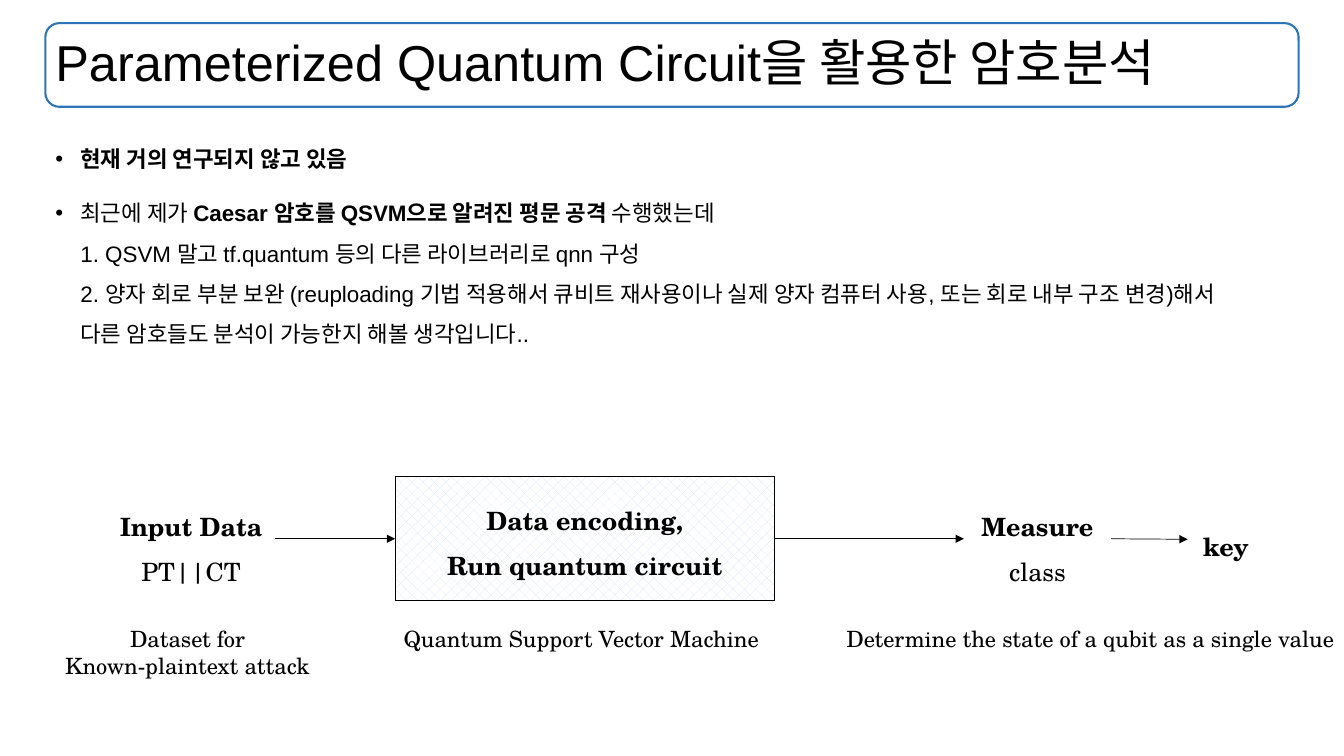
"""Build the slide on cryptanalysis with parameterized quantum circuits."""
from lxml import etree
from pptx import Presentation
from pptx.dml.color import RGBColor
from pptx.enum.dml import MSO_PATTERN
from pptx.enum.shapes import MSO_CONNECTOR, MSO_SHAPE
from pptx.enum.text import MSO_ANCHOR, PP_ALIGN
from pptx.oxml.ns import qn
from pptx.util import Inches, Pt

ROUNDED, RECTANGLE = MSO_SHAPE.ROUNDED_RECTANGLE, MSO_SHAPE.RECTANGLE
STRAIGHT = MSO_CONNECTOR.STRAIGHT
LEFT, CENTER = PP_ALIGN.LEFT, PP_ALIGN.CENTER
TOP, MIDDLE = MSO_ANCHOR.TOP, MSO_ANCHOR.MIDDLE
DOTS = MSO_PATTERN.PERCENT_25
SANS, SERIF = "Arial", "TeX Gyre Schola"
RIGHT_SIDE, LEFT_SIDE = 3, 1


def color(value):
    """Turn a hex string into a colour."""
    return RGBColor.from_string(value)


def write(para, pieces, font, size, align=LEFT, spacing=1.0):
    """Fill a paragraph with (text, bold) pieces, breaking lines at newlines."""
    para.alignment = align
    para.line_spacing = spacing
    para.font.name = font
    para.font.size = Pt(size)
    para.font.color.rgb = color("000000")
    same_weight = len({bold for _, bold in pieces}) == 1
    if same_weight:
        para.font.bold = pieces[0][1]
    for text, bold in pieces:
        for index, line in enumerate(text.split("\n")):
            if index:
                para.add_line_break()
            if line:
                span = para.add_run()
                span.text = line
                if not same_weight:
                    span.font.bold = bold


deck = Presentation()
deck.slide_width, deck.slide_height = Inches(13.33), Inches(7.5)
page = deck.slides.add_slide(deck.slide_layouts[6])

title = page.shapes.add_shape(ROUNDED, Inches(0.45), Inches(0.23), Inches(12.43), Inches(0.83))
title.shadow.inherit = False
title.fill.background()
title.line.color.rgb = color("2E75B6")
title.line.width = Pt(1.5)
title.text_frame.margin_left = Inches(0.06)
title.text_frame.vertical_anchor = MIDDLE
write(title.text_frame.paragraphs[0],
      [("Parameterized Quantum Circuit을 활용한 암호분석", False)], SANS, 36, spacing=0.9)

bullets = [
    [("현재 거의 연구되지 않고 있음", True)],
    [("최근에 제가 ", False),
     ("Caesar 암호를 QSVM으로 알려진 평문 공격", True),
     (" 수행했는데\n"
      "1. QSVM 말고 tf.quantum 등의 다른 라이브러리로 qnn 구성\n"
      "2. 양자 회로 부분 보완 (reuploading 기법 적용해서 큐비트 재사용이나 실제 양자 컴퓨터 사용, "
      "또는 회로 내부 구조 변경)해서\n"
      "다른 암호들도 분석이 가능한지 해볼 생각입니다..", False)],
]
body = page.shapes.add_textbox(Inches(0.45), Inches(1.26), Inches(12.43), Inches(5.53))
body.text_frame.word_wrap = True
for index, pieces in enumerate(bullets):
    para = body.text_frame.add_paragraph() if index else body.text_frame.paragraphs[0]
    if index:
        para.space_before = Pt(10)
    properties = para._p.get_or_add_pPr()
    properties.set("marL", str(Inches(0.25)))
    properties.set("indent", str(-Inches(0.25)))
    etree.SubElement(properties, qn("a:buFont")).set("typeface", SANS)
    etree.SubElement(properties, qn("a:buChar")).set("char", "•")
    write(para, pieces, SANS, 16, spacing=1.5)

circuit = page.shapes.add_shape(RECTANGLE, Inches(3.92), Inches(4.73), Inches(3.76), Inches(1.23))
circuit.shadow.inherit = False
circuit.fill.patterned()
circuit.fill.pattern = DOTS
circuit.fill.fore_color.rgb = color("DAE3F3")
circuit.fill.back_color.rgb = color("FFFFFF")
circuit.line.color.rgb = color("000000")
circuit.line.width = Pt(1)
circuit.text_frame.margin_bottom = Inches(0.12)
circuit.text_frame.vertical_anchor = MIDDLE
write(circuit.text_frame.paragraphs[0],
      [("Data encoding,\nRun quantum circuit", True)], SERIF, 18, CENTER, 1.5)

labels = [
    (1.06, 4.87, 1.67, 0.95, TOP, 18, 1.5, [("Input Data\n", True), ("PT||CT", False)]),
    (9.56, 4.87, 1.46, 0.95, TOP, 18, 1.5, [("Measure\n", True), ("class", False)]),
    (11.78, 5.1, 0.76, 0.5, MIDDLE, 18, 1.5, [("key", True)]),
    (0.45, 6.15, 2.82, 0.64, TOP, 16, 1.0, [("Dataset for\nKnown-plaintext attack", False)]),
    (3.24, 6.15, 5.05, 0.37, TOP, 16, 1.0, [("Quantum Support Vector Machine", False)]),
    (8.29, 6.15, 5.05, 0.37, TOP, 16, 1.0,
     [("Determine the state of a qubit as a single value", False)]),
]
boxes = []
for left, top, width, height, anchor, size, spacing, pieces in labels:
    box = page.shapes.add_textbox(Inches(left), Inches(top), Inches(width), Inches(height))
    box.text_frame.word_wrap = True
    box.text_frame.vertical_anchor = anchor
    write(box.text_frame.paragraphs[0], pieces, SERIF, size, CENTER, spacing)
    boxes.append(box)

input_data, measure, key = boxes[:3]
steps = [input_data, circuit, measure, key]
for source, target in zip(steps, steps[1:]):
    arrow = page.shapes.add_connector(STRAIGHT, 0, 0, 0, 0)
    arrow.begin_connect(source, RIGHT_SIDE)
    arrow.end_connect(target, LEFT_SIDE)
    arrow.line.color.rgb = color("000000")
    arrow.line.width = Pt(0.5)
    etree.SubElement(arrow.line._get_or_add_ln(), qn("a:tailEnd")).set("type", "triangle")
    etree.SubElement(arrow._element.spPr, qn("a:effectLst"))

deck.save("out.pptx")
